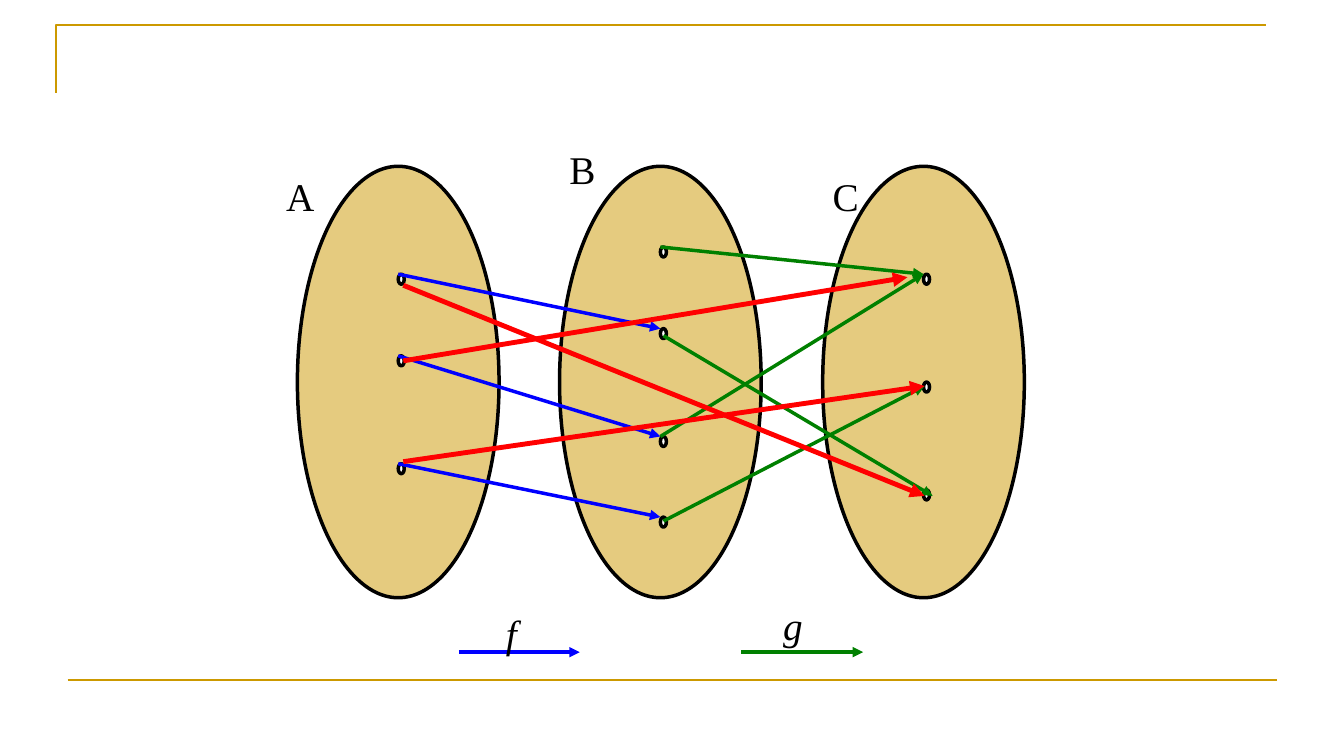
from lxml import etree
from pptx import Presentation
from pptx.dml.color import RGBColor
from pptx.enum.shapes import MSO_CONNECTOR, MSO_SHAPE
from pptx.enum.text import PP_ALIGN
from pptx.oxml.ns import qn
from pptx.util import Inches, Pt

# Content
COLORS = {"gold": "CC9900", "black": "000000", "white": "FFFFFF",
          "blue": "0000FF", "green": "008000", "red": "FF0000"}
FONT = "Times New Roman"
SET_LEFTS = {"A": 2.95, "B": 5.55, "C": 8.16}
ELEMENT_TOPS = {"A": [2.72, 3.53, 4.6],
                "B": [2.45, 3.26, 4.33, 5.13],
                "C": [2.72, 3.79, 4.86]}
# Text, left, top, width, italic
LABELS = [("f", 4.92, 6, 0.6, True), ("g", 7.67, 5.92, 0.6, True),
          ("A", 2.74, 1.66, 0.6, False), ("B", 5.55, 1.39, 0.8, False),
          ("C", 8.16, 1.66, 0.8, False)]
# Arrows between elements: set and index at each end
ELEMENT_ARROWS = [("blue", ("A", 0), ("B", 1)), ("blue", ("A", 1), ("B", 2)),
                  ("blue", ("A", 2), ("B", 3)), ("green", ("B", 0), ("C", 0)),
                  ("green", ("B", 2), ("C", 0))]
LEGEND_ARROWS = [("blue", (4.55, 6.47), (5.75, 6.47)),
                 ("green", (7.35, 6.47), (8.56, 6.47))]
FREE_ARROWS = [("green", (6.58, 3.33), (9.25, 4.92)),
               ("green", (6.58, 5.17), (9.17, 3.83)),
               ("red", (4, 2.83), (9.17, 4.92)),
               ("red", (4, 3.58), (9, 2.75)),
               ("red", (4, 4.58), (9.17, 3.83))]
WIDTHS = {"gold": 1.5, "blue": 2.5, "green": 2.5, "red": 3.5}

presentation = Presentation()
presentation.slide_width, presentation.slide_height = Inches(13.33), Inches(7.5)
slide = presentation.slides.add_slide(presentation.slide_layouts[6])
shapes = slide.shapes


def rgb(name):
    return RGBColor.from_string(COLORS[name])


def add_line(color, start, end, arrow=True):
    line = shapes.add_connector(MSO_CONNECTOR.STRAIGHT,
                                *[Inches(value) for value in start + end])
    line.line.color.rgb = rgb(color)
    line.line.width = Pt(WIDTHS[color])
    if arrow:
        etree.SubElement(line.line._get_or_add_ln(), qn("a:tailEnd"), type="triangle")
    etree.SubElement(line._element.spPr, qn("a:effectLst"))


def add_ellipse(left, top, width, height, fill, alpha=None):
    ellipse = shapes.add_shape(MSO_SHAPE.OVAL, Inches(left), Inches(top),
                               Inches(width), Inches(height))
    ellipse.shadow.inherit = False
    ellipse.fill.solid()
    ellipse.fill.fore_color.rgb = rgb(fill)
    if alpha:
        color = ellipse._element.spPr.find(qn("a:solidFill"))[0]
        etree.SubElement(color, qn("a:alpha"), val=str(alpha * 1000))
    ellipse.line.color.rgb = rgb("black")
    ellipse.line.width = Pt(2.5)


def element_point(element):
    name, index = element
    return SET_LEFTS[name] + 1, ELEMENT_TOPS[name][index]


# Corner frame and bottom rule
builder = shapes.build_freeform(Inches(0.56), Inches(0.92))
builder.add_line_segments([(Inches(0.56), Inches(0.25)),
                           (Inches(12.56), Inches(0.25))], close=False)
frame = builder.convert_to_shape()
frame.shadow.inherit = False
frame.fill.background()
frame.line.color.rgb = rgb("gold")
frame.line.width = Pt(WIDTHS["gold"])
add_line("gold", (0.67, 6.75), (12.67, 6.75), arrow=False)

# Sets, then their elements
for left in SET_LEFTS.values():
    add_ellipse(left, 1.65, 2, 4.28, "gold", alpha=50)
for arrow in LEGEND_ARROWS:
    add_line(*arrow)
for name, tops in ELEMENT_TOPS.items():
    for top in tops:
        add_ellipse(SET_LEFTS[name] + 1, top, 0.06, 0.1, "white")

# Arrows between elements
for color, source, target in ELEMENT_ARROWS:
    add_line(color, element_point(source), element_point(target))

# Labels
for text, left, top, width, italic in LABELS:
    box = shapes.add_textbox(Inches(left), Inches(top), Inches(width), Inches(0.8))
    box.text_frame.word_wrap = True
    box.text_frame.text = text
    paragraph = box.text_frame.paragraphs[0]
    paragraph.alignment = PP_ALIGN.JUSTIFY
    font = paragraph.runs[0].font
    font.name, font.size, font.italic = FONT, Pt(28), italic
    font.color.rgb = rgb("black")

# Remaining arrows, drawn on top
for arrow in FREE_ARROWS:
    add_line(*arrow)

presentation.save("out.pptx")
